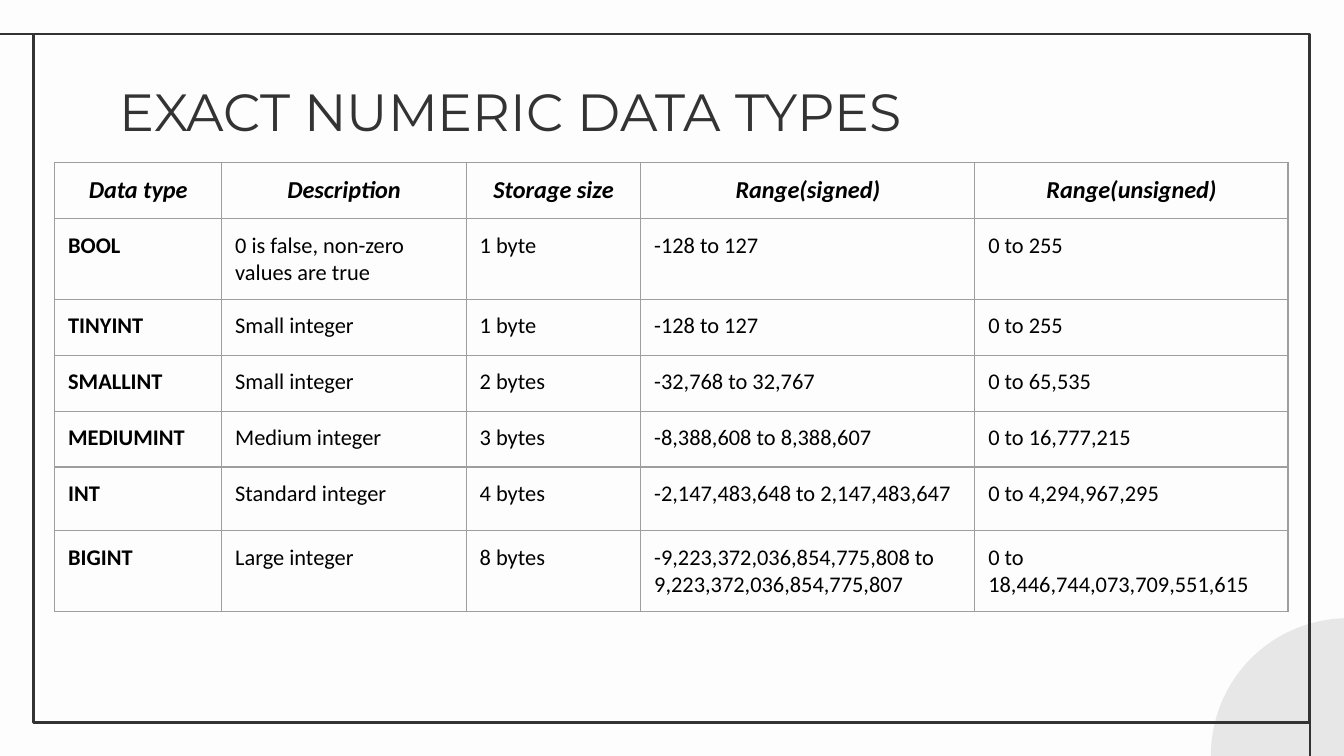
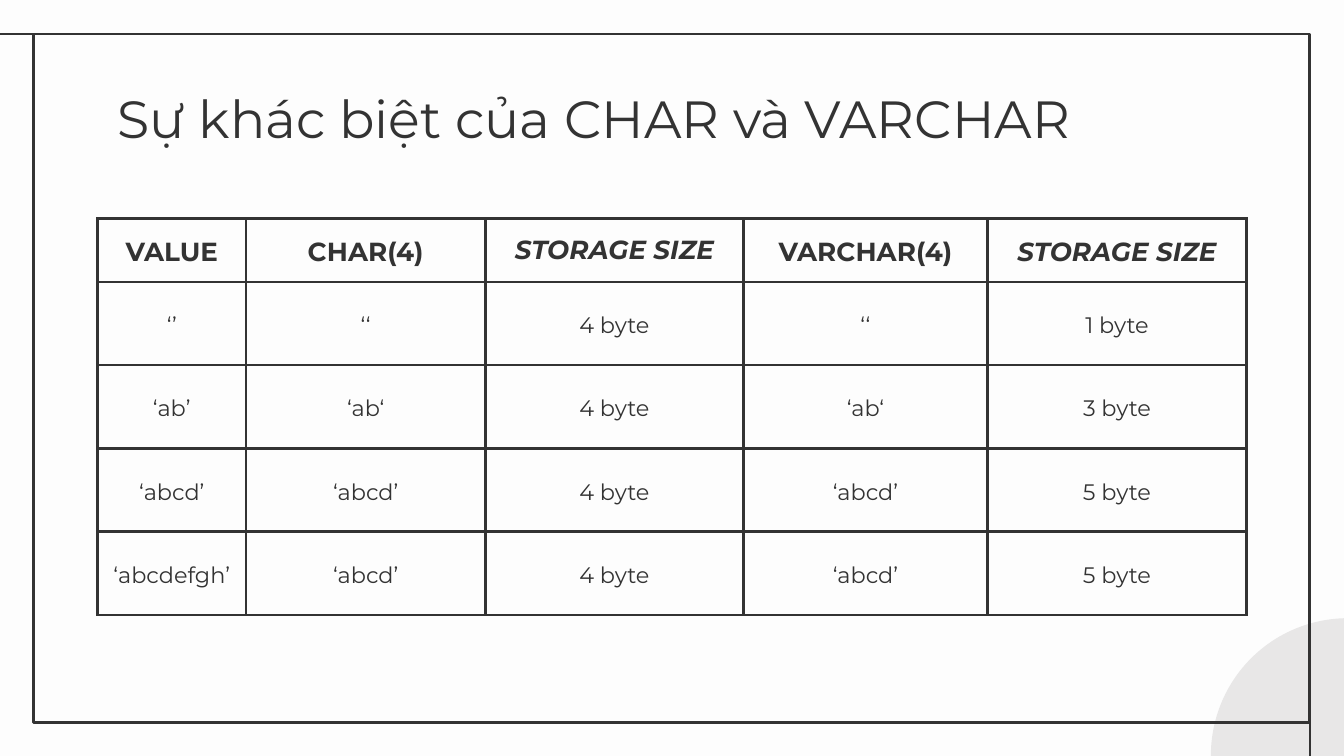
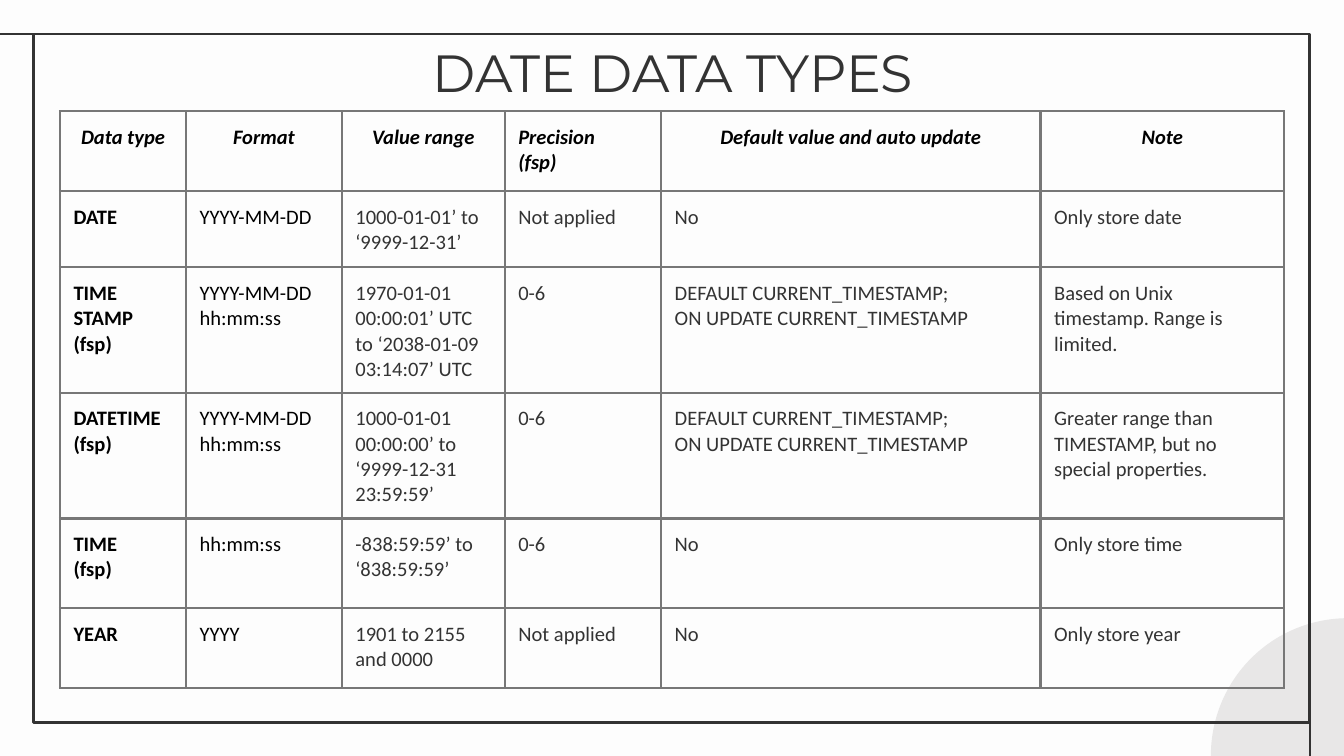
from copy import deepcopy

from lxml.etree import SubElement
from pptx import Presentation
from pptx.dml.color import RGBColor
from pptx.enum.shapes import MSO_CONNECTOR, MSO_SHAPE
from pptx.enum.text import MSO_ANCHOR, PP_ALIGN
from pptx.oxml.ns import qn
from pptx.util import Pt

INK = "333333"
BLACK = "000000"
PAPER = "FDFDFD"
DISC = "E8E7E7"
LIGHT_GREY = "9E9E9E"
MID_GREY = "777777"

CENTER = {"alignment": PP_ALIGN.CENTER}
LEFT = {"alignment": PP_ALIGN.LEFT}
JUSTIFY = {"alignment": PP_ALIGN.JUSTIFY}
LOOSE = {"alignment": PP_ALIGN.CENTER, "line_spacing": 1.15}
INSET = 7.2


def color(hex_string):
    return RGBColor.from_string(hex_string)


def font(name, size, ink, bold=False, italic=False):
    return {"name": name, "size": Pt(size), "bold": bold, "italic": italic, "ink": ink}


def set_attributes(target, values):
    for name, value in values.items():
        setattr(target, name, value)


class Deck:
    """Holds the shared style and the slide being built."""

    def __init__(self):
        self.presentation = Presentation()
        self.presentation.slide_width = Pt(720)
        self.presentation.slide_height = Pt(405)
        self.slide = None

    def add_slide(self):
        self.slide = self.presentation.slides.add_slide(self.presentation.slide_layouts[6])
        background = self.slide.background.fill
        background.solid()
        background.fore_color.rgb = color(PAPER)
        self.shape(MSO_SHAPE.OVAL, 648.7, 331.2, 147, 147, fill=DISC)
        self.shape(MSO_SHAPE.RECTANGLE, 18, 18.2, 683.5, 368.8, line=INK)
        self.line(18.5, 18.2, 0, 18.2)
        self.line(701.8, 387, 701.8, 405)

    def shape(self, kind, left, top, width, height, fill=None, line=None):
        shape = self.slide.shapes.add_shape(kind, Pt(left), Pt(top), Pt(width), Pt(height))
        shape.shadow.inherit = False
        if fill:
            shape.fill.solid()
            shape.fill.fore_color.rgb = color(fill)
        else:
            shape.fill.background()
        if line:
            shape.line.color.rgb = color(line)
            shape.line.width = Pt(1.5)
        else:
            shape.line.fill.background()

    def line(self, *ends):
        connector = self.slide.shapes.add_connector(MSO_CONNECTOR.STRAIGHT, *map(Pt, ends))
        connector.line.color.rgb = color(INK)
        connector.line.width = Pt(1.5)
        SubElement(connector._element.spPr, qn("a:effectLst"))

    def fill_paragraph(self, paragraph, text, text_font, layout):
        """Sets text and format; line breaks take the font of the text around them."""
        paragraph.text = text
        set_attributes(paragraph, layout)
        values = dict(text_font)
        ink = values.pop("ink")
        for run in paragraph.runs:
            set_attributes(run.font, values)
            run.font.color.rgb = color(ink)
        for line_break in paragraph._p.findall(qn("a:br")):
            line_break.append(deepcopy(paragraph.runs[0]._r.rPr))

    def title(self, text, left, top, width, height=45.4, layout=LEFT):
        box = self.slide.shapes.add_textbox(Pt(left), Pt(top), Pt(width), Pt(height))
        frame = box.text_frame
        frame.word_wrap = True
        for side in ("left", "top", "right", "bottom"):
            setattr(frame, f"margin_{side}", Pt(INSET))
        self.fill_paragraph(frame.paragraphs[0], text, font("Montserrat", 28, INK), layout)

    def border(self, cell, hex_string, width):
        properties = cell._tc.get_or_add_tcPr()
        for side in ("lnL", "lnR", "lnT", "lnB"):
            line = SubElement(properties, qn(f"a:{side}"), w=str(Pt(width)))
            fill = SubElement(line, qn("a:solidFill"))
            SubElement(fill, qn("a:srgbClr"), val=hex_string)

    def table(self, left, top, widths, heights, rows, style_of, border,
              anchor=MSO_ANCHOR.TOP, body_inset=INSET):
        """style_of(row, column) gives the font and the paragraph layout of a cell."""
        table = self.slide.shapes.add_table(
            len(rows), len(widths), Pt(left), Pt(top), Pt(sum(widths)), Pt(sum(heights))).table
        table.first_row = table.horz_banding = False
        for column, width in zip(table.columns, widths):
            column.width = Pt(width)
        for row, height in zip(table.rows, heights):
            row.height = Pt(height)
        for row_index, texts in enumerate(rows):
            inset = body_inset if row_index else INSET
            for column_index, text in enumerate(texts):
                cell = table.cell(row_index, column_index)
                set_attributes(cell, {
                    "margin_left": Pt(INSET), "margin_right": Pt(INSET),
                    "margin_top": Pt(inset), "margin_bottom": Pt(inset),
                    "vertical_anchor": anchor,
                })
                self.border(cell, *border)
                cell.fill.background()
                self.fill_paragraph(cell.text_frame.paragraphs[0], text,
                                    *style_of(row_index, column_index))


def numeric_types(deck):
    def style_of(row, column):
        if row == 0:
            return font("Calibri", 13, BLACK, bold=True, italic=True), CENTER
        return font("Calibri", 12, BLACK, bold=column == 0), LEFT

    deck.add_slide()
    deck.title("EXACT NUMERIC DATA TYPES", 57, 35.3, 607)
    rows = [
        ["Data type", "Description", "Storage size", "Range(signed)", "Range(unsigned)"],
        ["BOOL", "0 is false, non-zero values are true", "1 byte", "-128 to 127", "0 to 255"],
        ["TINYINT", "Small integer", "1 byte", "-128 to 127", "0 to 255"],
        ["SMALLINT", "Small integer", "2 bytes", "-32,768 to 32,767", "0 to 65,535"],
        ["MEDIUMINT", "Medium integer", "3 bytes", "-8,388,608 to 8,388,607",
         "0 to 16,777,215"],
        ["INT", "Standard integer", "4 bytes", "-2,147,483,648 to 2,147,483,647",
         "0 to 4,294,967,295"],
        ["BIGINT", "Large integer", "8 bytes",
         "-9,223,372,036,854,775,808 to 9,223,372,036,854,775,807",
         "0 to 18,446,744,073,709,551,615"],
    ]
    deck.table(29.3, 87, [89.5, 131, 93.5, 179, 167.8], [30] * 5 + [34, 30],
               rows, style_of, (LIGHT_GREY, 0.75))


def char_and_varchar(deck):
    def style_of(row, column):
        if row == 0:
            layout = CENTER if column == 2 else LOOSE
            return font("Montserrat", 14, INK, bold=True, italic=column in (2, 4)), layout
        return font("Montserrat", 12, INK), LOOSE

    deck.add_slide()
    rows = [
        ["VALUE", "CHAR(4)", "STORAGE SIZE", "VARCHAR(4)", "STORAGE SIZE"],
        ["‘’", "‘‘", "4 byte", "‘‘", "1 byte"],
        ["‘ab’", "‘ab‘", "4 byte", "‘ab‘", "3 byte"],
        ["‘abcd’", "‘abcd’", "4 byte", "‘abcd’", "5 byte"],
        ["‘abcdefgh’", "‘abcd’", "4 byte", "‘abcd’", "5 byte"],
    ]
    deck.table(52.3, 117, [79.5, 128.3, 138.2, 130.8, 138.7], [32] + [44.6] * 4,
               rows, style_of, (INK, 1.5), MSO_ANCHOR.MIDDLE, body_inset=0)
    deck.title("Sự khác biệt của CHAR và VARCHAR", 56, 38.9, 558, 48.2)


def date_types(deck):
    def style_of(row, column):
        if row == 0:
            layout = LEFT if column == 3 else CENTER
            return font("Calibri", 11, BLACK, bold=True, italic=True), layout
        if column < 2:
            return font("Calibri", 11, BLACK, bold=column == 0), JUSTIFY
        return font("Calibri", 11, INK), LEFT

    deck.add_slide()
    deck.title("DATE DATA TYPES", 57, 14.4, 607, layout=CENTER)
    full_format = "YYYY-MM-DD hh:mm:ss"
    auto_update = "DEFAULT CURRENT_TIMESTAMP;\vON UPDATE CURRENT_TIMESTAMP"
    rows = [
        ["Data type", "Format", "Value range", "Precision\v(fsp)",
         "Default value and auto update", "Note"],
        ["DATE", "YYYY-MM-DD", "1000-01-01’ to ‘9999-12-31’", "Not applied", "No",
         "Only store date"],
        ["TIME\vSTAMP\v(fsp)", full_format,
         "1970-01-01 00:00:01’ UTC to ‘2038-01-09 03:14:07’ UTC", "0-6", auto_update,
         "Based on Unix timestamp. Range is limited."],
        ["DATETIME\v(fsp)", full_format, "1000-01-01 00:00:00’ to ‘9999-12-31 23:59:59’",
         "0-6", auto_update, "Greater range than TIMESTAMP, but no special properties."],
        ["TIME\v(fsp)", "hh:mm:ss", "-838:59:59’ to ‘838:59:59’", "0-6", "No",
         "Only store time"],
        ["YEAR", "YYYY", "1901 to 2155 and 0000", "Not applied", "No", "Only store year"],
    ]
    deck.table(32.2, 59.6, [67.5, 83.5, 87.3, 83.8, 203.3, 130.3],
               [42.7, 30, 51, 47.5, 48.2, 42.7], rows, style_of, (MID_GREY, 1.5))


def main():
    deck = Deck()
    for build in (numeric_types, char_and_varchar, date_types):
        build(deck)
    deck.presentation.save("out.pptx")


if __name__ == "__main__":
    main()
